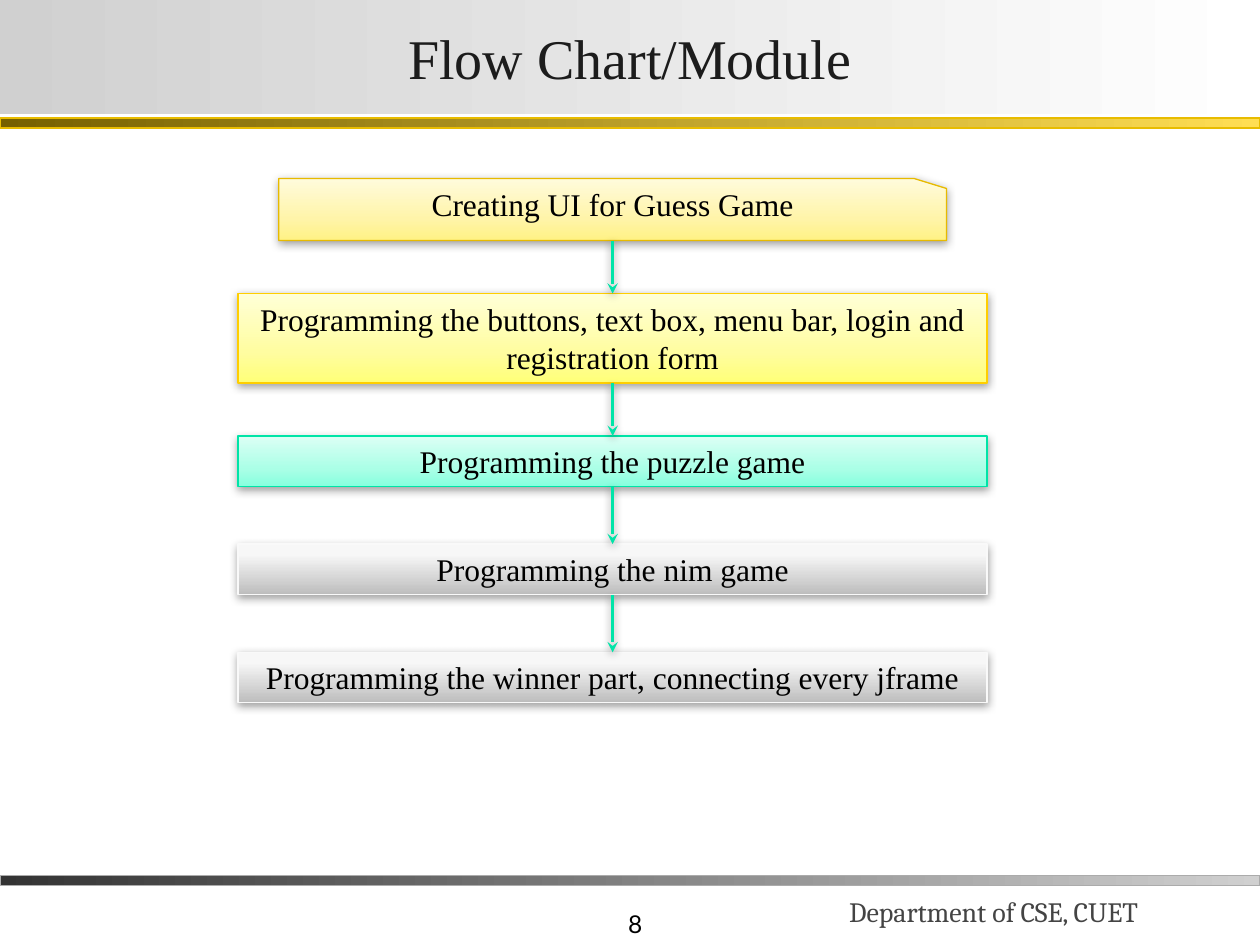
from dataclasses import dataclass
from itertools import pairwise

from lxml import etree
from pptx import Presentation
from pptx import util as u
from pptx.dml.color import RGBColor
from pptx.enum import shapes, text
from pptx.oxml.ns import qn


@dataclass(frozen=True)
class Theme:
    serif: str = "Times New Roman"
    footer_font: str = "Cambria"
    number_font: str = "Lato"
    title_size: float = 32
    body_size: float = 18
    footer_size: float = 16
    number_size: float = 14
    title_ink: str = "1C1C1C"
    ink: str = "000000"
    footer_ink: str = "444444"
    arrow: str = "00E4A8"
    # Each look is (gradient stops, line colour)
    header: tuple = (((0, "D0D0D0"), (100, "FFFFFF")), None)
    gold_bar: tuple = (((0, "766000"), (100, "FFDE53")), "E8BC00")
    grey_bar: tuple = (((0, "333333"), (100, "D0D0D0")), "ABABAB")
    gold: tuple = (((0, "FFF284"), (35, "FFF4A9"), (100, "FFFBDC")), "E7BA00")
    yellow: tuple = (((0, "FFFF78"), (35, "FFFDA1"), (100, "FFFFD7")), "FFCE00")
    mint: tuple = (((0, "85FFDE"), (35, "AAFFE6"), (100, "DCFFF5")), "00E4A7")
    grey: tuple = (((0, "BDBDBD"), (80, "F7F7F7"), (100, "F8F8F8")), "F9F9F9")


def write(sp, words, *, font, size, color, align=text.PP_ALIGN.CENTER,
          anchor=text.MSO_ANCHOR.TOP):
    tf = sp.text_frame
    tf.word_wrap = True
    tf.vertical_anchor = anchor
    p = tf.paragraphs[0]
    p.alignment = align
    r = p.add_run()
    r.text = words
    r.font.name = font
    r.font.size = u.Pt(size)
    r.font.color.rgb = RGBColor.from_string(color)


def add_color(parent, color):
    return etree.SubElement(parent, qn("a:srgbClr"), val=color)


def add_shadow(sp):
    spPr = sp.element.spPr
    effects = spPr.find(qn("a:effectLst"))
    if effects is None:
        effects = etree.SubElement(spPr, qn("a:effectLst"))
    outer = etree.SubElement(effects, qn("a:outerShdw"), blurRad=str(u.Pt(5)),
                             dist=str(u.Pt(1.6)), dir="5400000", rotWithShape="0")
    etree.SubElement(add_color(outer, "000000"), qn("a:alpha"), val="37000")


class Deck:
    def __init__(self, theme):
        self.theme = theme
        self.prs = Presentation()
        self.prs.slide_width, self.prs.slide_height = u.Cm(25.4), u.Cm(19.05)
        self.slide = self.prs.slides.add_slide(self.prs.slide_layouts[6])

    def paint(self, sp, look, angle):
        stops, line = look
        sp.shadow.inherit = False
        sp.fill.gradient()
        sp.fill.gradient_angle = angle
        stop_list = sp.element.spPr.find(qn("a:gradFill")).find(qn("a:gsLst"))
        for stop in list(stop_list):
            stop_list.remove(stop)
        for position, color in stops:
            add_color(etree.SubElement(stop_list, qn("a:gs"), pos=str(position * 1000)), color)
        if line:
            sp.line.color.rgb = RGBColor.from_string(line)
            sp.line.width = u.Pt(0.75)
        else:
            sp.line.fill.background()

    def band(self, top, height, look):
        """Full-width strip shaded from left to right."""
        sp = self.slide.shapes.add_shape(shapes.MSO_SHAPE.RECTANGLE, 0, u.Cm(top),
                                         self.prs.slide_width, u.Cm(height))
        self.paint(sp, look, 0)
        return sp

    def label(self, words, left, top, width, height, **style):
        sp = self.slide.shapes.add_textbox(u.Cm(left), u.Cm(top), u.Cm(width), u.Cm(height))
        write(sp, words, anchor=text.MSO_ANCHOR.BOTTOM, **style)

    def finish_step(self, sp, words, look):
        self.paint(sp, look, 90)
        add_shadow(sp)
        write(sp, words, font=self.theme.serif, size=self.theme.body_size, color=self.theme.ink)

    def card(self, words, left, top, width, height, look):
        """Step with a shallow cut at its top right corner."""
        right, bottom = left + width, top + height
        corners = [(right - 0.65, top), (right, top + 0.2), (right, bottom), (left, bottom)]
        builder = self.slide.shapes.build_freeform(u.Cm(left), u.Cm(top))
        builder.add_line_segments([(u.Cm(x), u.Cm(y)) for x, y in corners], close=True)
        self.finish_step(builder.convert_to_shape(), words, look)

    def box(self, words, left, top, width, height, look):
        sp = self.slide.shapes.add_shape(shapes.MSO_SHAPE.RECTANGLE, u.Cm(left), u.Cm(top),
                                         u.Cm(width), u.Cm(height))
        self.finish_step(sp, words, look)

    def arrow(self, x, start, end):
        cx = self.slide.shapes.add_connector(shapes.MSO_CONNECTOR.STRAIGHT, u.Cm(x),
                                             u.Cm(start), u.Cm(x), u.Cm(end))
        cx.line.color.rgb = RGBColor.from_string(self.theme.arrow)
        cx.line.width = u.Pt(2)
        etree.SubElement(cx.line._get_or_add_ln(), qn("a:tailEnd"), type="stealth")
        add_shadow(cx)


def main():
    theme = Theme()
    deck = Deck(theme)

    deck.label("8", 7.92, 17.78, 5.28, 1.27, font=theme.number_font, size=theme.number_size,
               color=theme.ink, align=text.PP_ALIGN.RIGHT)
    deck.label("Department of CSE, CUET", 16.87, 17.27, 8.74, 1.57, font=theme.footer_font,
               size=theme.footer_size, color=theme.footer_ink, align=text.PP_ALIGN.LEFT)
    deck.band(17.65, 0.2, theme.grey_bar)
    deck.band(2.38, 0.2, theme.gold_bar)
    write(deck.band(0, 2.31, theme.header), "Flow Chart/Module", font=theme.serif,
          size=theme.title_size, color=theme.title_ink, anchor=text.MSO_ANCHOR.MIDDLE)

    axis = 12.35
    steps = [
        (deck.card, "Creating UI for Guess Game", 3.6, 13.46, 1.25, theme.gold),
        (deck.box, "Programming the buttons, text box, menu bar, login and registration form",
         5.92, 15.1, 1.8, theme.yellow),
        (deck.box, "Programming the puzzle game", 8.79, 15.1, 1.02, theme.mint),
        (deck.box, "Programming the nim game", 10.97, 15.1, 1.02, theme.grey),
        (deck.box, "Programming the winner part, connecting every jframe",
         13.15, 15.1, 1.02, theme.grey),
    ]
    for draw, words, top, width, height, look in steps:
        draw(words, axis - width / 2, top, width, height, look)
    for (_, _, top, _, height, _), (_, _, next_top, *_) in pairwise(steps):
        deck.arrow(axis, top + height, next_top)

    deck.prs.save("out.pptx")


if __name__ == "__main__":
    main()
